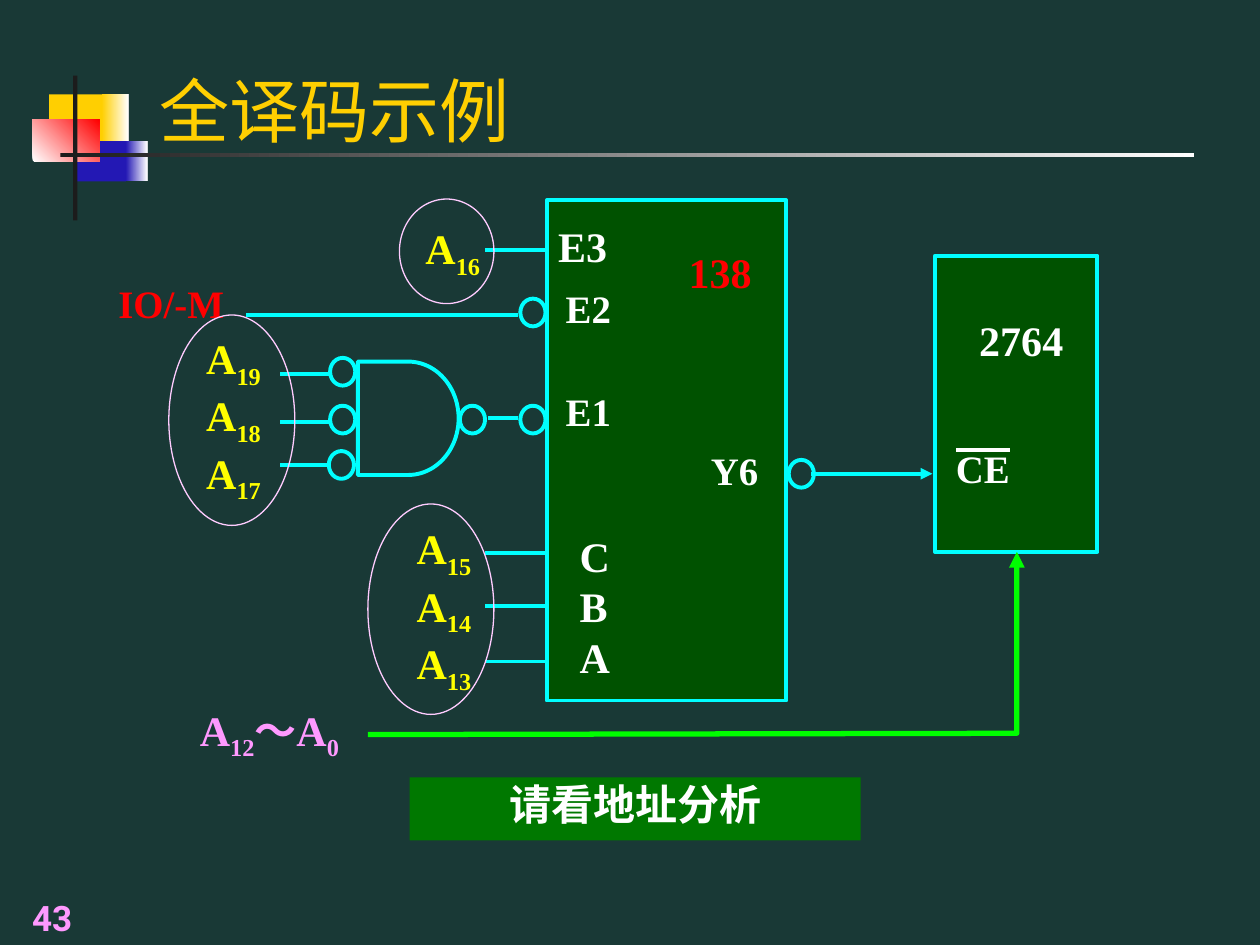
from dataclasses import dataclass

from lxml import etree
from pptx import Presentation
from pptx import util as u
from pptx.dml.color import RGBColor
from pptx.enum import shapes, text
from pptx.oxml.ns import qn

KIND = shapes.MSO_SHAPE
SIDE = text.PP_ALIGN
ROOF = text.MSO_ANCHOR


@dataclass(frozen=True)
class Theme:
    back: str = "193936"
    gold: str = "FFCF01"
    blue: str = "2318B4"
    red: str = "FF0000"
    dark: str = "1C1C1C"
    white: str = "FFFFFF"
    cyan: str = "00FFFF"
    lime: str = "00FF00"
    chip: str = "005200"
    note: str = "007800"
    yellow: str = "FFFF00"
    pink: str = "FF99FF"
    pale: str = "FFCCFF"
    serif: str = "Times New Roman"
    sans: str = "Roboto"
    title: float = 40
    body: float = 24
    pin: float = 22.2
    page: float = 20
    wire: float = 2.25
    bus: float = 3
    thin: float = 0.75


class Board:
    cols, rows = 100, 75

    def __init__(self, deck, theme):
        self.deck, self.theme = deck, theme
        self.slide = deck.slides.add_slide(deck.slide_layouts[6])
        self.items = self.slide.shapes
        fill = self.slide.background.fill
        fill.solid()
        fill.fore_color.rgb = RGBColor.from_string(theme.back)

    def x(self, col):
        return round(self.deck.slide_width * col / self.cols)

    def y(self, row):
        return round(self.deck.slide_height * row / self.rows)

    def area(self, box):
        left, top, wide, high = box
        return self.x(left), self.y(top), self.x(wide), self.y(high)

    def stroke(self, line, color, width):
        line.color.rgb = RGBColor.from_string(color)
        line.width = u.Pt(width)

    def arrow(self, item):
        etree.SubElement(item.line._get_or_add_ln(), qn("a:tailEnd"), type="triangle")

    def shape(self, box, kind=KIND.RECTANGLE, fill=None, edge=None, width=None):
        item = self.items.add_shape(kind, *self.area(box))
        item.shadow.inherit = False
        if fill:
            item.fill.solid()
            item.fill.fore_color.rgb = RGBColor.from_string(fill)
        else:
            item.fill.background()
        if edge:
            self.stroke(item.line, edge, width or self.theme.wire)
        else:
            item.line.fill.background()
        return item

    def fade(self, box, start, end, angle=0):
        item = self.shape(box)
        item.fill.gradient()
        item.fill.gradient_angle = angle
        for stop, color, spot in zip(item.fill.gradient_stops, (start, end), (0, 1)):
            stop.color.rgb = RGBColor.from_string(color)
            stop.position = spot

    def ring(self, col, row):
        self.shape((col, row, 2, 2.2), KIND.OVAL, edge=self.theme.cyan)

    def wire(self, start, end, color=None, arrow=False):
        (ax, ay), (bx, by) = start, end
        item = self.items.add_connector(
            shapes.MSO_CONNECTOR.STRAIGHT, self.x(ax), self.y(ay), self.x(bx), self.y(by))
        self.stroke(item.line, color or self.theme.cyan, self.theme.wire)
        if arrow:
            self.arrow(item)
        etree.SubElement(item._element.spPr, qn("a:effectLst"))

    def route(self, points, color):
        spots = [(self.x(col), self.y(row)) for col, row in points]
        path = self.items.build_freeform(*spots[0])
        path.add_line_segments(spots[1:], close=False)
        item = path.convert_to_shape()
        item.shadow.inherit = False
        item.fill.background()
        self.stroke(item.line, color, self.theme.bus)
        self.arrow(item)

    def label(self, box, lines, color, size=None, align=SIDE.CENTER, fill=None,
              face=None, bold=True, pad=(0.01, 0.01), anchor=ROOF.TOP, lead=None):
        item = self.shape(box, fill=fill) if fill else self.items.add_textbox(*self.area(box))
        frame = item.text_frame
        frame.word_wrap = True
        frame.vertical_anchor = anchor
        frame.margin_left = frame.margin_right = u.Inches(pad[0])
        frame.margin_top = frame.margin_bottom = u.Inches(pad[1])
        for spot, line in enumerate(lines):
            para = frame.add_paragraph() if spot else frame.paragraphs[0]
            para.alignment = align
            para.line_spacing = lead
            font = para.font
            font.name, font.bold = face or self.theme.serif, bold
            font.size = u.Pt(size or self.theme.body)
            font.color.rgb = RGBColor.from_string(color)
            for turn, part in enumerate(line.split("|")):
                run = para.add_run()
                run.text = part
                if turn % 2:
                    run.font._element.set("baseline", "-25000")

    def pin(self, col, row, name, color=None):
        self.label((col, row, 10.6, 4.1), [name], color or self.theme.white,
                   self.theme.pin, lead=0.9)


def frame(board, t):
    board.shape((3.9, 7.5, 4.6, 3.7), fill=t.gold)
    board.fade((8.1, 7.5, 2.1, 3.7), t.gold, t.white)
    board.shape((5.9, 11.2, 4.1, 3.2), fill=t.blue)
    board.fade((10, 11.2, 1.7, 3.2), t.blue, t.white)
    board.fade((2.6, 9.5, 5.3, 3.3), t.white, t.red, 45)
    board.shape((5.8, 6, 0.35, 11.5), fill=t.dark)
    board.fade((4.8, 12.15, 90, 0.3), t.dark, t.white)
    board.label((0, 70, 8.3, 5), ["43"], t.pink, t.page, face=t.sans,
                pad=(0.1, 0.05), anchor=ROOF.BOTTOM)
    board.label((11.7, 3.3, 85.2, 9.2), ["全译码示例"], t.gold, t.title, SIDE.LEFT,
                face=t.sans, bold=False, pad=(0.1, 0.05), anchor=ROOF.BOTTOM)


def chips(board, t):
    board.shape((43.4, 15.9, 19, 39.7), fill=t.chip, edge=t.cyan)
    board.shape((74.2, 20.3, 12.9, 23.5), fill=t.chip, edge=t.cyan)
    board.label((44.2, 17.4, 12.9, 5.6), ["E3"], t.white, align=SIDE.JUSTIFY, fill=t.chip)
    board.label((52.3, 19.5, 9.7, 6), ["138"], t.red, fill=t.chip)
    board.label((76.2, 24.9, 9.7, 6), ["2764"], t.white)
    board.label((45.9, 42, 7.6, 14.5), "CBA", t.white, align=SIDE.JUSTIFY)
    for col, row, name in ((72.7, 35.6, "CE"), (53, 35.8, "Y6"),
                           (41.4, 22.9, "E2"), (41.4, 31.1, "E1")):
        board.pin(col, row, name)
    board.pin(8.3, 22.5, "IO/-M", t.red)
    board.wire((75.9, 35.7), (80.2, 35.7), t.white)


def wires(board, t):
    board.shape((28.4, 28.7, 8, 9), KIND.FLOWCHART_DELAY, edge=t.cyan)
    for col, row in ((26.2, 28.4), (26.2, 32.2), (26.1, 35.8), (36.5, 32.2),
                     (41.3, 32.2), (41.3, 23.7), (62.6, 36.5)):
        board.ring(col, row)
    for row in (29.7, 33.5, 36.9):
        board.wire((26.1, row), (22.2, row))
    for row in (19.85, 43.9, 48.1, 52.5):
        board.wire((43.4, row), (38.5, row))
    board.wire((41.1, 33.2), (38.7, 33.2))
    board.wire((41.1, 25), (19.5, 25))
    board.wire((64.4, 37.6), (74, 37.6), arrow=True)
    board.route(((29.2, 58.3), (80.7, 58.2), (80.7, 43.8)), t.lime)


def lines(board, t):
    for box, names in (((9.4, 26.3, 11.4, 14.3), (19, 18, 17)),
                       ((24.1, 41.4, 13.4, 15.2), (15, 14, 13)),
                       ((29.7, 17.6, 8.5, 6.2), (16,))):
        board.label(box, [f"A|{name}" for name in names], t.yellow, align=SIDE.RIGHT)
    board.label((10.8, 55.8, 16.2, 8.5), ["A|12|～A|0"], t.pink, align=SIDE.RIGHT)
    for box in ((13.4, 25, 10, 16.7), (29.2, 40, 10, 16.7), (31.7, 15.8, 7.5, 8.3)):
        board.shape(box, KIND.OVAL, edge=t.pale, width=t.thin)
    board.label((32.5, 61.7, 35.8, 5), ["请看地址分析"], t.white, fill=t.note)


def main():
    deck = Presentation()
    deck.slide_width, deck.slide_height = u.Inches(10), u.Inches(7.5)
    theme = Theme()
    board = Board(deck, theme)
    for part in (frame, chips, wires, lines):
        part(board, theme)
    deck.save("out.pptx")


if __name__ == "__main__":
    main()
